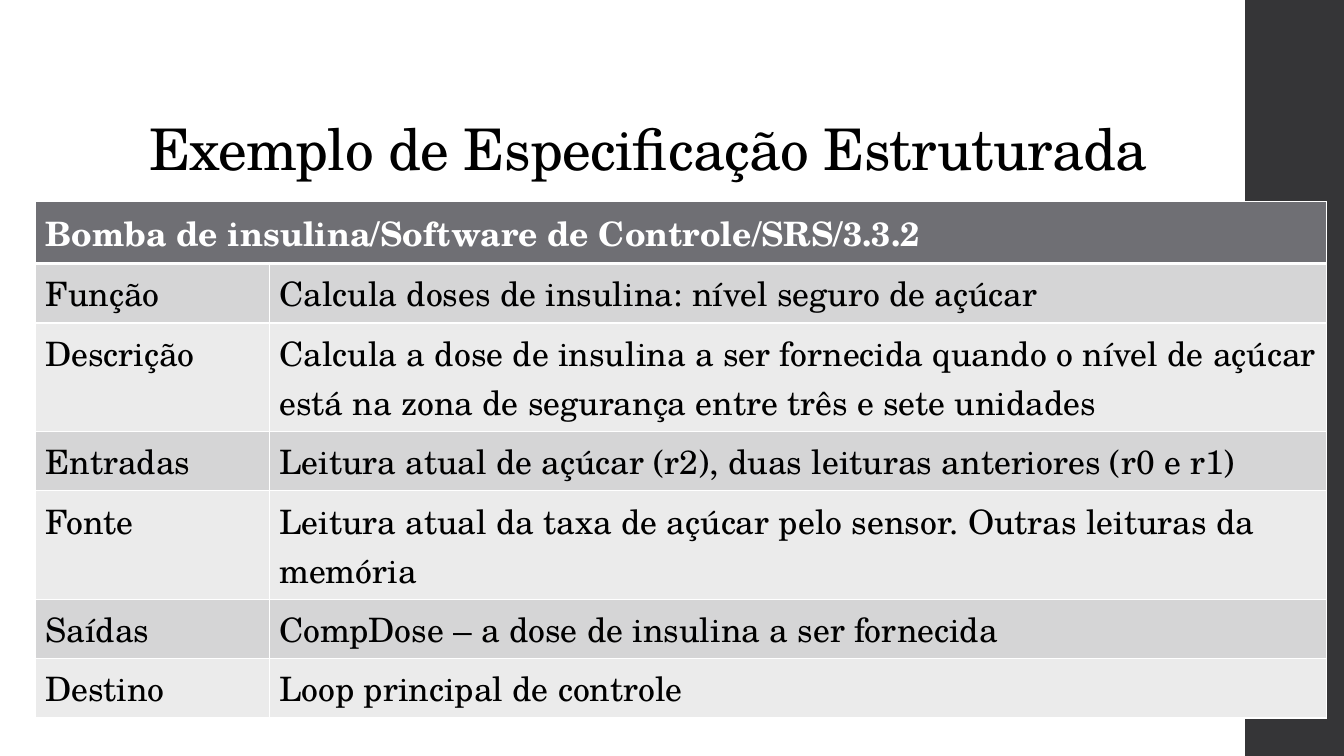
from dataclasses import dataclass

from lxml import etree
from pptx import Presentation
from pptx import util as u
from pptx.dml.color import RGBColor
from pptx.enum import shapes, text
from pptx.oxml.ns import qn


@dataclass(frozen=True)
class Theme:
    font: str = "TeX Gyre Schola"
    title_size: int = 44
    table_size: int = 24
    ink: str = "000000"
    paper: str = "FFFFFF"
    sidebar: str = "353537"
    header: str = "6F6F74"
    bands: tuple = ("D5D5D6", "EBEBEB")


theme = Theme()


def style_run(run, size, color, bold=False):
    run.font.name = theme.font
    run.font.size = u.Pt(size)
    run.font.bold = bold
    run.font.color.rgb = RGBColor.from_string(color)


def set_borders(cell, bottom_width):
    """Draw all four sides in the paper colour, 1 pt except the bottom."""
    properties = cell._tc.get_or_add_tcPr()
    sides = {"a:lnL": 1, "a:lnR": 1, "a:lnT": 1, "a:lnB": bottom_width}
    for position, (side, width) in enumerate(sides.items()):
        line = etree.Element(qn(side), w=str(u.Pt(width)))
        fill = etree.SubElement(line, qn("a:solidFill"))
        etree.SubElement(fill, qn("a:srgbClr"), val=theme.paper)
        properties.insert(position, line)


presentation = Presentation()
presentation.slide_width = u.Inches(13.33)
presentation.slide_height = u.Inches(7.5)
slide = presentation.slides.add_slide(presentation.slide_layouts[5])
slide.background.fill.solid()
slide.background.fill.fore_color.rgb = RGBColor.from_string(theme.paper)

# Sidebar
sidebar = slide.shapes.add_shape(
    shapes.MSO_SHAPE.RECTANGLE,
    u.Inches(12.35), 0, u.Inches(1), presentation.slide_height)
sidebar.shadow.inherit = False
sidebar.fill.solid()
sidebar.fill.fore_color.rgb = RGBColor.from_string(theme.sidebar)
sidebar.line.fill.background()

# Title
title = slide.shapes.title
title.left, title.top = u.Inches(1.38), u.Inches(0.4)
title.width, title.height = u.Inches(10.6), u.Inches(1.45)
title.text_frame.text = "Exemplo de Especificação Estruturada"
title.text_frame.word_wrap = True
title.text_frame.vertical_anchor = text.MSO_ANCHOR.BOTTOM
title.text_frame.auto_size = text.MSO_AUTO_SIZE.TEXT_TO_FIT_SHAPE
paragraph = title.text_frame.paragraphs[0]
paragraph.alignment = text.PP_ALIGN.LEFT
paragraph.line_spacing = 0.9
style_run(paragraph.runs[0], theme.title_size, theme.ink)
paragraph.runs[0].font._element.set("spc", "-50")

# Specification table
specification = [
    ("Bomba de insulina/Software de Controle/SRS/3.3.2", ""),
    ("Função", "Calcula doses de insulina: nível seguro de açúcar"),
    ("Descrição", "Calcula a dose de insulina a ser fornecida quando o nível "
                  "de açúcar está na zona de segurança entre três e sete unidades"),
    ("Entradas", "Leitura atual de açúcar (r2), duas leituras anteriores (r0 e r1)"),
    ("Fonte", "Leitura atual da taxa de açúcar pelo sensor. "
              "Outras leituras da memória"),
    ("Saídas", "CompDose – a dose de insulina a ser fornecida"),
    ("Destino", "Loop principal de controle"),
]
column_widths = (2.32, 10.49)
row_height = 0.41
table = slide.shapes.add_table(
    len(specification), len(column_widths), u.Inches(0.35), u.Inches(2),
    u.Inches(sum(column_widths)),
    u.Inches(row_height * len(specification))).table
for column, width in zip(table.columns, column_widths):
    column.width = u.Inches(width)
table.cell(0, 0).merge(table.cell(0, 1))

for row_index, entries in enumerate(specification):
    is_header = row_index == 0
    band = theme.header if is_header else theme.bands[(row_index - 1) % 2]
    color = theme.paper if is_header else theme.ink
    for column_index, entry in enumerate(entries):
        cell = table.cell(row_index, column_index)
        cell.fill.solid()
        cell.fill.fore_color.rgb = RGBColor.from_string(band)
        set_borders(cell, bottom_width=3 if is_header else 1)
        if entry:
            cell.text_frame.text = entry
            style_run(cell.text_frame.paragraphs[0].runs[0],
                      theme.table_size, color, bold=is_header)

presentation.save("out.pptx")
